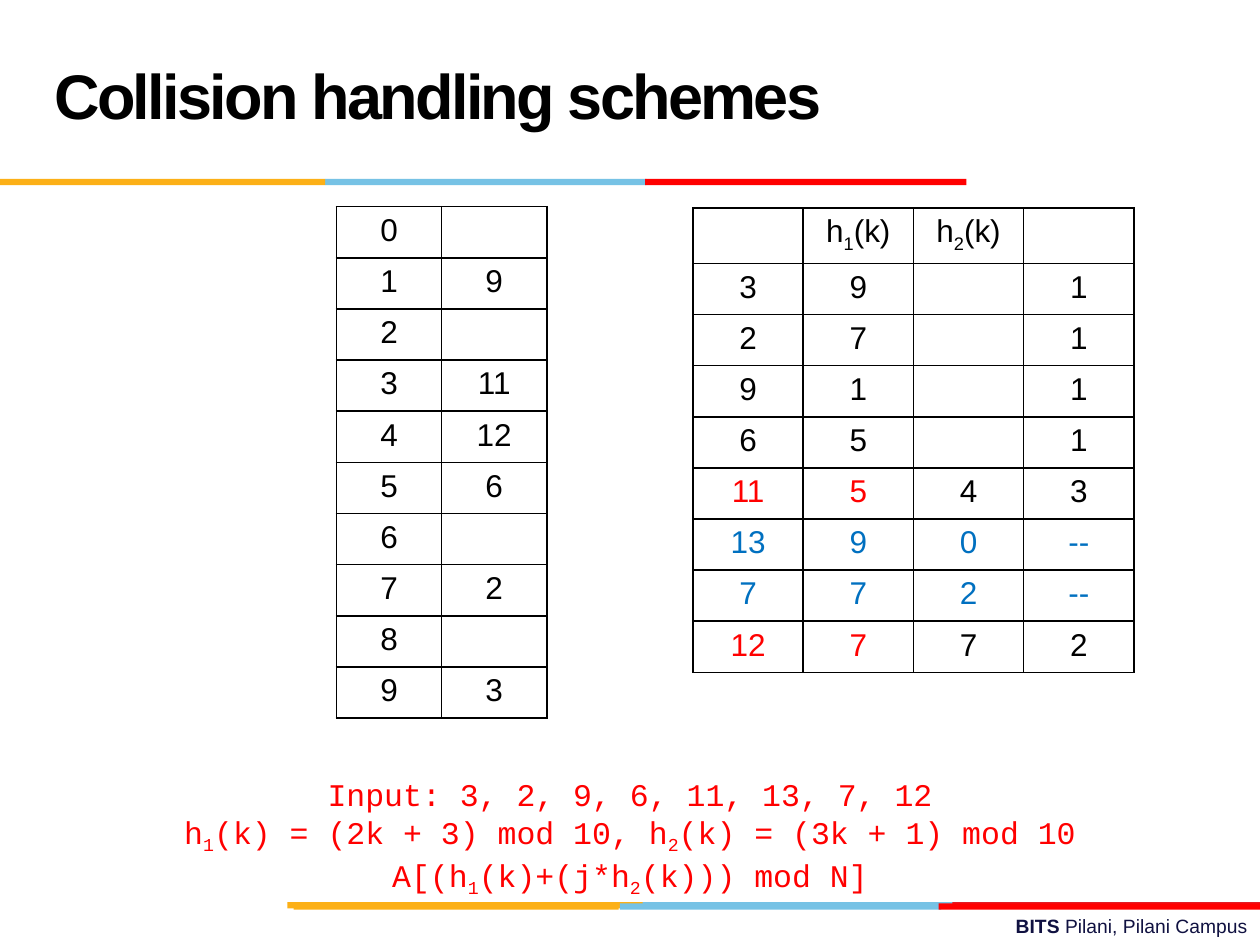
from dataclasses import dataclass

from lxml.etree import SubElement
from pptx import Presentation
from pptx.dml.color import RGBColor
from pptx.enum.shapes import MSO_SHAPE as Shape
from pptx.enum.text import MSO_ANCHOR as Anchor, PP_ALIGN as Align
from pptx.oxml.ns import qn
from pptx.util import Inches, Pt


@dataclass(frozen=True)
class Theme:
    sans: str = "Arial"
    mono: str = "Courier New"
    black: str = "000000"
    navy: str = "101141"
    gold: str = "FCB017"
    sky: str = "76C2E5"
    crimson: str = "E31C24"
    red: str = "FF0000"
    blue: str = "0070C0"
    title_size: int = 36
    body_size: int = 18
    footer_size: int = 11


THEME = Theme()


class SlideBuilder:
    def __init__(self, slide, theme):
        self.slide = slide
        self.theme = theme

    def style(self, **changes):
        values = {"name": self.theme.sans, "size": self.theme.body_size,
                  "color": self.theme.black, "bold": False}
        return {**values, **changes}

    def add_run(self, paragraph, text, style, subscript=False):
        run = paragraph.add_run()
        run.text = text
        values = {**style, "size": Pt(style["size"])}
        run.font.color.rgb = RGBColor.from_string(values.pop("color"))
        for name, value in values.items():
            setattr(run.font, name, value)
        if subscript:
            run._r.get_or_add_rPr().set("baseline", "-25000")
        return run

    def add_formula(self, paragraph, text, style, align=Align.CENTER):
        """Add text in which an underscore lowers the character after it."""
        paragraph.alignment = align
        first, *others = text.split("_")
        self.add_run(paragraph, first, style)
        for part in others:
            self.add_run(paragraph, part[0], style, subscript=True)
            self.add_run(paragraph, part[1:], style)

    def title(self, text, left, top, width, height):
        title = self.slide.shapes.title
        place = {"left": left, "top": top, "width": width, "height": height}
        for name, value in place.items():
            setattr(title, name, Inches(value))
        title.text_frame.vertical_anchor = Anchor.MIDDLE
        paragraph = title.text_frame.paragraphs[0]
        paragraph.alignment = Align.LEFT
        paragraph.line_spacing = Pt(self.theme.title_size)
        style = self.style(size=self.theme.title_size, bold=True)
        run = self.add_run(paragraph, text, style)
        run._r.get_or_add_rPr().set("spc", "-150")

    def text_box(self, left, top, width, height):
        box = self.slide.shapes.add_textbox(*map(Inches, (left, top, width, height)))
        box.text_frame.word_wrap = True
        return box.text_frame

    def stripe(self, top, segments, height=0.05):
        """Draw (left, width, colour) segments side by side as one stripe."""
        for left, width, color in segments:
            bar = self.slide.shapes.add_shape(
                Shape.RECTANGLE, *map(Inches, (left, top, width, height)))
            bar.shadow.inherit = False
            bar.fill.solid()
            bar.fill.fore_color.rgb = RGBColor.from_string(color)
            bar.line.fill.background()

    def cell_borders(self, cell):
        properties = cell._tc.get_or_add_tcPr()
        for side in ("a:lnL", "a:lnR", "a:lnT", "a:lnB"):
            line = SubElement(properties, qn(side), w=str(Pt(1)))
            fill = SubElement(line, qn("a:solidFill"))
            SubElement(fill, qn("a:srgbClr"), val=self.theme.black)

    def table(self, rows, left, top, width, height, colors=None):
        """Draw a ruled table; colors maps a row to (colour, number of cells)."""
        table = self.slide.shapes.add_table(
            len(rows), len(rows[0]), *map(Inches, (left, top, width, height))).table
        table.first_row = table.horz_banding = False
        for row_index, row in enumerate(rows):
            color, colored = (colors or {}).get(row_index, (self.theme.black, 0))
            for column_index, text in enumerate(row):
                cell = table.cell(row_index, column_index)
                self.cell_borders(cell)
                cell.fill.background()
                if text:
                    shown = color if column_index < colored else self.theme.black
                    self.add_formula(cell.text_frame.paragraphs[0], text,
                                     self.style(color=shown))


def main():
    presentation = Presentation()
    presentation.slide_width, presentation.slide_height = Inches(10), Inches(7.5)
    slide = presentation.slides.add_slide(presentation.slide_layouts[5])
    builder = SlideBuilder(slide, THEME)

    footer = builder.text_box(3.58, 7.21, 6.42, 0.29).paragraphs[0]
    footer.alignment = Align.RIGHT
    for text, bold in (("BITS ", True), ("Pilani, Pilani Campus", False)):
        builder.add_run(footer, text, builder.style(
            size=THEME.footer_size, color=THEME.navy, bold=bold))

    builder.stripe(7.16, [(5.06, 2.55, THEME.sky), (7.56, 2.44, THEME.crimson),
                          (2.28, 2.82, THEME.gold)])
    builder.stripe(7.17, [(4.92, 2.55, THEME.sky), (2.33, 2.58, THEME.gold),
                          (7.45, 2.55, THEME.red)])
    builder.stripe(1.42, [(2.58, 2.55, THEME.sky), (0, 2.58, THEME.gold),
                          (5.12, 2.55, THEME.red)])
    builder.title("Collision handling schemes", 0.33, 0.17, 6.92, 1.25)

    stored = {1: "9", 3: "11", 4: "12", 5: "6", 7: "2", 9: "3"}
    hash_table = [(str(index), stored.get(index, "")) for index in range(10)]
    builder.table(hash_table, 2.67, 1.64, 1.67, 4.06)

    formulas = builder.text_box(0, 6.1, 10, 1.01)
    lines = ("Input: 3, 2, 9, 6, 11, 13, 7, 12",
             "h_1(k) = (2k + 3) mod 10, h_2(k) = (3k + 1) mod 10",
             "A[(h_1(k)+(j*h_2(k))) mod N]")
    for index, line in enumerate(lines):
        paragraph = formulas.add_paragraph() if index else formulas.paragraphs[0]
        builder.add_formula(paragraph, line,
                            builder.style(name=THEME.mono, color=THEME.red))

    probes = [
        ("", "h_1(k)", "h_2(k)", ""),
        ("3", "9", "", "1"),
        ("2", "7", "", "1"),
        ("9", "1", "", "1"),
        ("6", "5", "", "1"),
        ("11", "5", "4", "3"),
        ("13", "9", "0", "--"),
        ("7", "7", "2", "--"),
        ("12", "7", "7", "2"),
    ]
    collision, failure = (THEME.red, 2), (THEME.blue, 4)
    builder.table(probes, 5.5, 1.65, 3.5, 3.65,
                  {5: collision, 6: failure, 7: failure, 8: collision})

    presentation.save("out.pptx")


if __name__ == "__main__":
    main()
